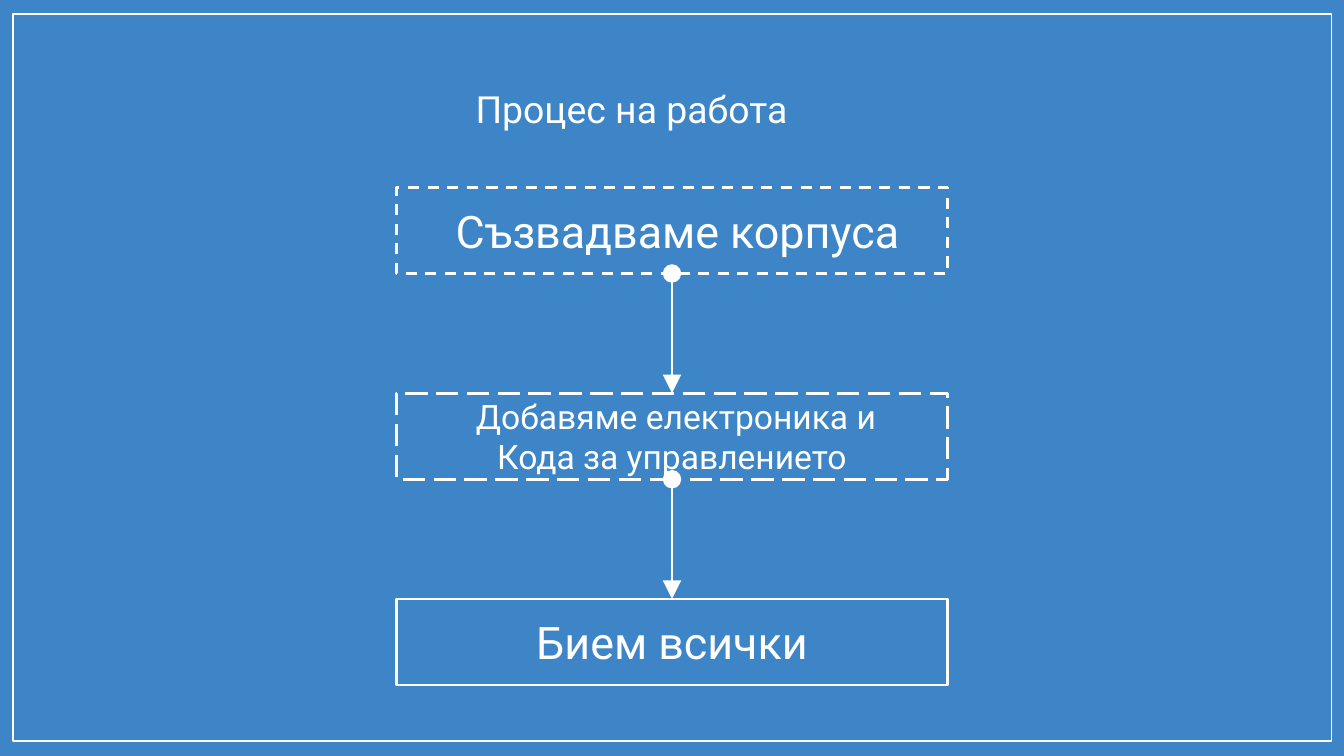
import pptx
import pptx.util
import pptx.dml.color
import pptx.enum.dml
import pptx.enum.shapes
import pptx.enum.text
import pptx.oxml.ns
import lxml.etree

Pt = pptx.util.Pt
RECTANGLE = pptx.enum.shapes.MSO_SHAPE.RECTANGLE
DASHES = pptx.enum.dml.MSO_LINE
ALIGN = pptx.enum.text.PP_ALIGN
ANCHOR = pptx.enum.text.MSO_ANCHOR
COLORS = {
    name: pptx.dml.color.RGBColor.from_string(value)
    for name, value in {"background": "3D85C6", "white": "FFFFFF"}.items()
}
FRAME_FORMAT = {
    "word_wrap": True,
    "margin_left": Pt(7.2),
    "margin_top": Pt(7.2),
    "margin_right": Pt(7.2),
    "margin_bottom": Pt(7.2),
}


def write_text(shape, lines, size, align, anchor):
    frame = shape.text_frame
    for name, value in {**FRAME_FORMAT, "vertical_anchor": anchor}.items():
        setattr(frame, name, value)
    frame.text = "\n".join(lines)
    for paragraph in frame.paragraphs:
        paragraph.alignment = align
        font = paragraph.runs[0].font
        for name, value in {"name": "Roboto", "size": Pt(size)}.items():
            setattr(font, name, value)
        font.color.rgb = COLORS["white"]


def add_outline(left, top, width, height, weight, dash):
    outline = slide.shapes.add_shape(
        RECTANGLE, Pt(left), Pt(top), Pt(width), Pt(height)
    )
    outline.shadow.inherit = False
    outline.fill.background()
    outline.line.color.rgb = COLORS["white"]
    for name, value in {"width": Pt(weight), "dash_style": dash}.items():
        setattr(outline.line, name, value)
    return outline


deck = pptx.Presentation()
for name, value in {"slide_width": Pt(720), "slide_height": Pt(405)}.items():
    setattr(deck, name, value)
slide = deck.slides.add_slide(deck.slide_layouts[6])
slide.background.fill.solid()
slide.background.fill.fore_color.rgb = COLORS["background"]

add_outline(7, 7.6, 706.4, 389.5, 0.75, None)

heading = slide.shapes.add_textbox(Pt(31.7), Pt(38.9), Pt(648), Pt(32.4))
write_text(heading, ["Процес на работа"], 20, ALIGN.LEFT, ANCHOR.TOP)
heading_indents = heading.text_frame.paragraphs[0].runs[0]._r.getparent().get_or_add_pPr()
for name, value in {"marL": Pt(180), "indent": Pt(36)}.items():
    heading_indents.set(name, str(value))

step_left, first_top, step_width, step_height, step_pitch = 212.4, 100.4, 295.2, 46.1, 110.25
steps = [
    ([" Съзвадваме корпуса"], 24, DASHES.DASH),
    ([" Добавяме електроника и", "Кода за управлението"], 18, DASHES.LONG_DASH),
    (["Бием всички"], 24, None),
]
for index, (lines, size, dash) in enumerate(steps):
    top = first_top + index * step_pitch
    step = add_outline(step_left, top, step_width, step_height, 1.5, dash)
    write_text(step, lines, size, ALIGN.CENTER, ANCHOR.MIDDLE)

center = step_left + step_width / 2
for index in range(len(steps) - 1):
    top = first_top + index * step_pitch
    arrow = slide.shapes.add_connector(
        pptx.enum.shapes.MSO_CONNECTOR.STRAIGHT,
        Pt(center), Pt(top + step_height), Pt(center), Pt(top + step_pitch),
    )
    arrow.line.color.rgb = COLORS["white"]
    arrow.line.width = Pt(0.75)
    line_xml = arrow.line._get_or_add_ln()
    for end, kind in {"a:headEnd": "oval", "a:tailEnd": "triangle"}.items():
        lxml.etree.SubElement(
            line_xml, pptx.oxml.ns.qn(end), type=kind, w="lg", len="lg"
        )
    lxml.etree.SubElement(
        arrow._element.spPr, pptx.oxml.ns.qn("a:effectLst")
    )

deck.save("out.pptx")
